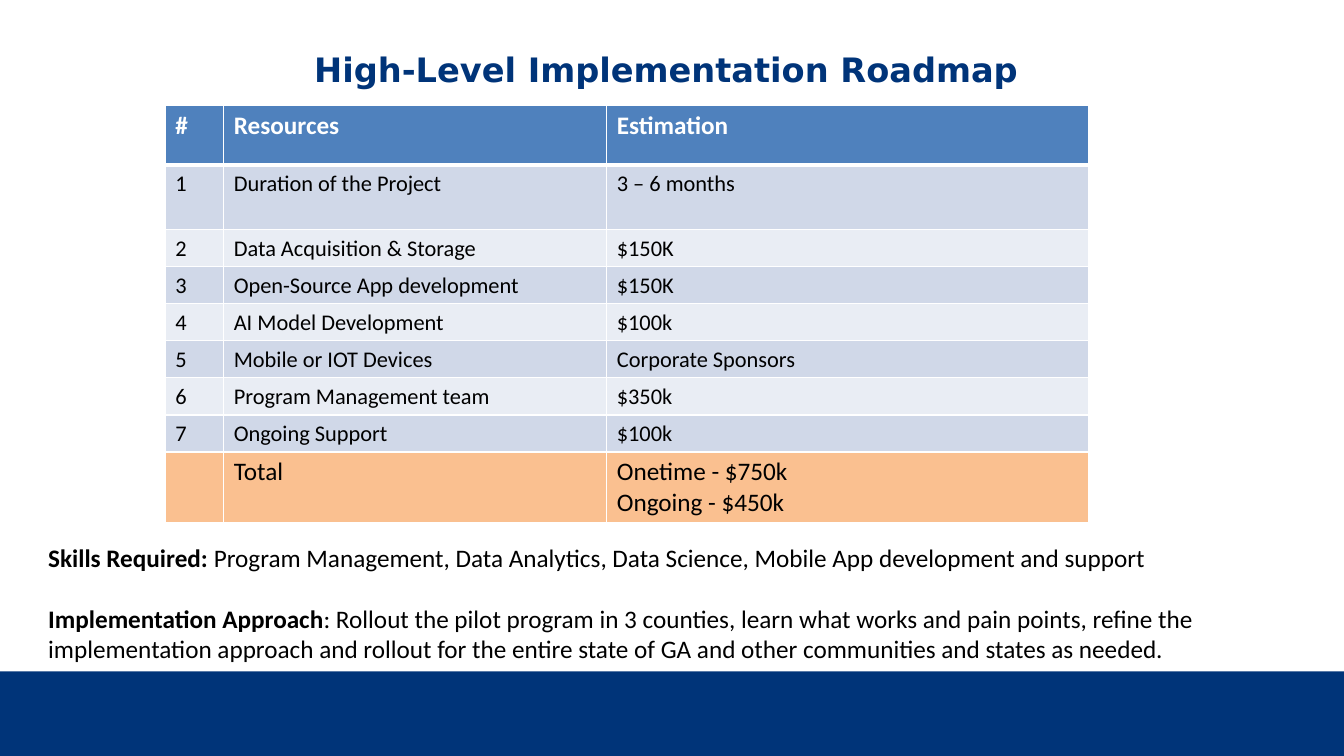
from dataclasses import dataclass

from lxml.etree import SubElement
from pptx import Presentation
from pptx.dml.color import RGBColor
from pptx.enum.shapes import MSO_SHAPE as Preset
from pptx.enum.text import MSO_ANCHOR as Anchor, MSO_AUTO_SIZE as AutoSize, PP_ALIGN as Align
from pptx.oxml.ns import qn
from pptx.util import Inches, Pt


@dataclass(frozen=True)
class Theme:
    navy: str = "003479"
    header: str = "4F81BD"
    odd_row: str = "D0D8E8"
    even_row: str = "E9EDF4"
    total: str = "FAC090"
    white: str = "FFFFFF"
    black: str = "000000"
    title_font: str = "DejaVu Sans"
    body_font: str = "Calibri"
    title_size: int = 24
    body_size: int = 18
    row_size: int = 16
    border: float = 1
    header_rule: float = 3


class SlideBuilder:
    """Places elements on a grid of 100 columns by 100 rows."""

    def __init__(self, presentation, theme):
        self.theme = theme
        self.column = presentation.slide_width / 100
        self.row = presentation.slide_height / 100
        self.slide = presentation.slides.add_slide(presentation.slide_layouts[5])

    def box(self, left, top, width, height):
        return (round(left * self.column), round(top * self.row),
                round(width * self.column), round(height * self.row))

    def add_run(self, paragraph, text, size, color, bold=False, font=None):
        run = paragraph.add_run()
        run.text = text
        run.font.size = Pt(size)
        run.font.bold = bold
        run.font.name = font or self.theme.body_font
        run.font.color.rgb = RGBColor.from_string(color)

    def add_band(self, *place):
        band = self.slide.shapes.add_shape(Preset.RECTANGLE, *self.box(*place))
        band.shadow.inherit = False
        band.fill.solid()
        band.fill.fore_color.rgb = RGBColor.from_string(self.theme.navy)
        band.line.fill.background()

    def set_title(self, text, *place):
        title = self.slide.shapes.title
        title.left, title.top, title.width, title.height = self.box(*place)
        frame = title.text_frame
        frame.margin_left = frame.margin_top = frame.margin_right = frame.margin_bottom = 0
        frame.vertical_anchor = Anchor.TOP
        frame.auto_size = AutoSize.SHAPE_TO_FIT_TEXT
        paragraph = frame.paragraphs[0]
        paragraph.alignment = Align.CENTER
        self.add_run(paragraph, text, self.theme.title_size, self.theme.navy,
                     bold=True, font=self.theme.title_font)

    def add_notes_text(self, entries, gap, *place):
        """Write paragraphs that each open with a bold label."""
        frame = self.slide.shapes.add_textbox(*self.box(*place)).text_frame
        frame.word_wrap = True
        for index, (label, detail) in enumerate(entries):
            paragraph = frame.add_paragraph() if index else frame.paragraphs[0]
            paragraph.space_before = Pt(gap if index else 0)
            self.add_run(paragraph, label, self.theme.body_size, self.theme.black, bold=True)
            self.add_run(paragraph, detail, self.theme.body_size, self.theme.black)

    def add_border(self, cell, side, width):
        properties = cell._tc.get_or_add_tcPr()
        line = SubElement(properties, qn(f"a:{side}"), w=str(Pt(width)))
        fill = SubElement(line, qn("a:solidFill"))
        SubElement(fill, qn("a:srgbClr"), val=self.theme.white)

    def fill_cell(self, cell, text, size, color, fill, bold, top, bottom):
        for side, width in (("lnL", self.theme.border), ("lnR", self.theme.border),
                            ("lnT", top), ("lnB", bottom)):
            self.add_border(cell, side, width)
        cell.fill.solid()
        cell.fill.fore_color.rgb = RGBColor.from_string(fill)
        for index, line in enumerate(text.split("\n")):
            frame = cell.text_frame
            paragraph = frame.add_paragraph() if index else frame.paragraphs[0]
            if line:
                self.add_run(paragraph, line, size, color, bold)

    def add_table(self, rows, widths, heights, left, top):
        """Draw a header row, banded rows and a closing total row."""
        theme = self.theme
        place = self.box(left, top, sum(widths), sum(heights))
        table = self.slide.shapes.add_table(len(rows), len(widths), *place).table
        for column, width in zip(table.columns, widths):
            column.width = round(width * self.column)
        for index, (row, height, texts) in enumerate(zip(table.rows, heights, rows)):
            row.height = round(height * self.row)
            size, color, fill = theme.row_size, theme.black, theme.even_row
            if index == 0:
                size, color, fill = theme.body_size, theme.white, theme.header
            elif index == len(rows) - 1:
                size, fill = theme.body_size, theme.total
            elif index % 2:
                fill = theme.odd_row
            top_line = theme.header_rule if index == 1 else theme.border
            bottom_line = theme.header_rule if index == 0 else theme.border
            for cell, text in zip(row.cells, texts):
                self.fill_cell(cell, text, size, color, fill, index == 0, top_line, bottom_line)


RESOURCES = [
    ("Duration of the Project", "3 – 6 months"),
    ("Data Acquisition & Storage", "$150K"),
    ("Open-Source App development", "$150K"),
    ("AI Model Development", "$100k"),
    ("Mobile or IOT Devices", "Corporate Sponsors"),
    ("Program Management team", "$350k"),
    ("Ongoing Support", "$100k"),
]
APPROACH = [
    ("Skills Required:",
     " Program Management, Data Analytics, Data Science, Mobile App development and support"),
    ("Implementation Approach",
     ": Rollout the pilot program in 3 counties, learn what works and pain points, refine the "
     "implementation approach and rollout for the entire state of GA and other communities "
     "and states as needed."),
]


def main():
    presentation = Presentation()
    presentation.slide_width, presentation.slide_height = Inches(13.33), Inches(7.5)
    builder = SlideBuilder(presentation, Theme())
    builder.add_band(0, 88.8, 100, 11.2)
    builder.set_title("High-Level Implementation Roadmap ", 5.7, 6.53, 88.6, 5.33)
    rows = [("#", "Resources", "Estimation")]
    rows += [(str(number), *entry) for number, entry in enumerate(RESOURCES, 1)]
    rows.append(("", "Total", "Onetime - $750k\nOngoing - $450k"))
    heights = [7.8, 8.6] + [4.9] * (len(RESOURCES) - 1) + [9.4]
    builder.add_table(rows, [4.35, 28.5, 35.85], heights, 12.3, 14)
    builder.add_notes_text(APPROACH, 22, 2.85, 71.07, 94.67, 21.6)
    presentation.save("out.pptx")


if __name__ == "__main__":
    main()
